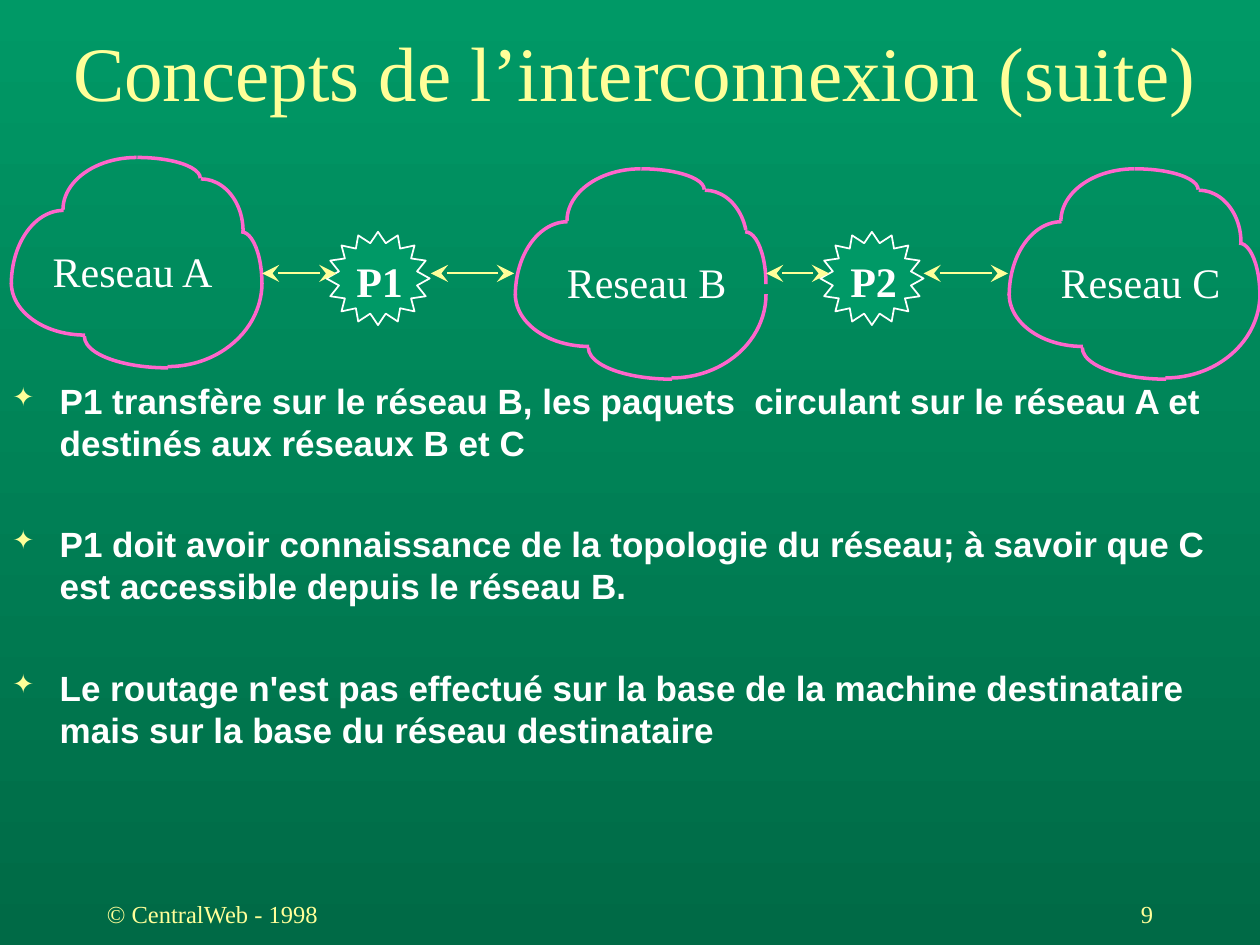
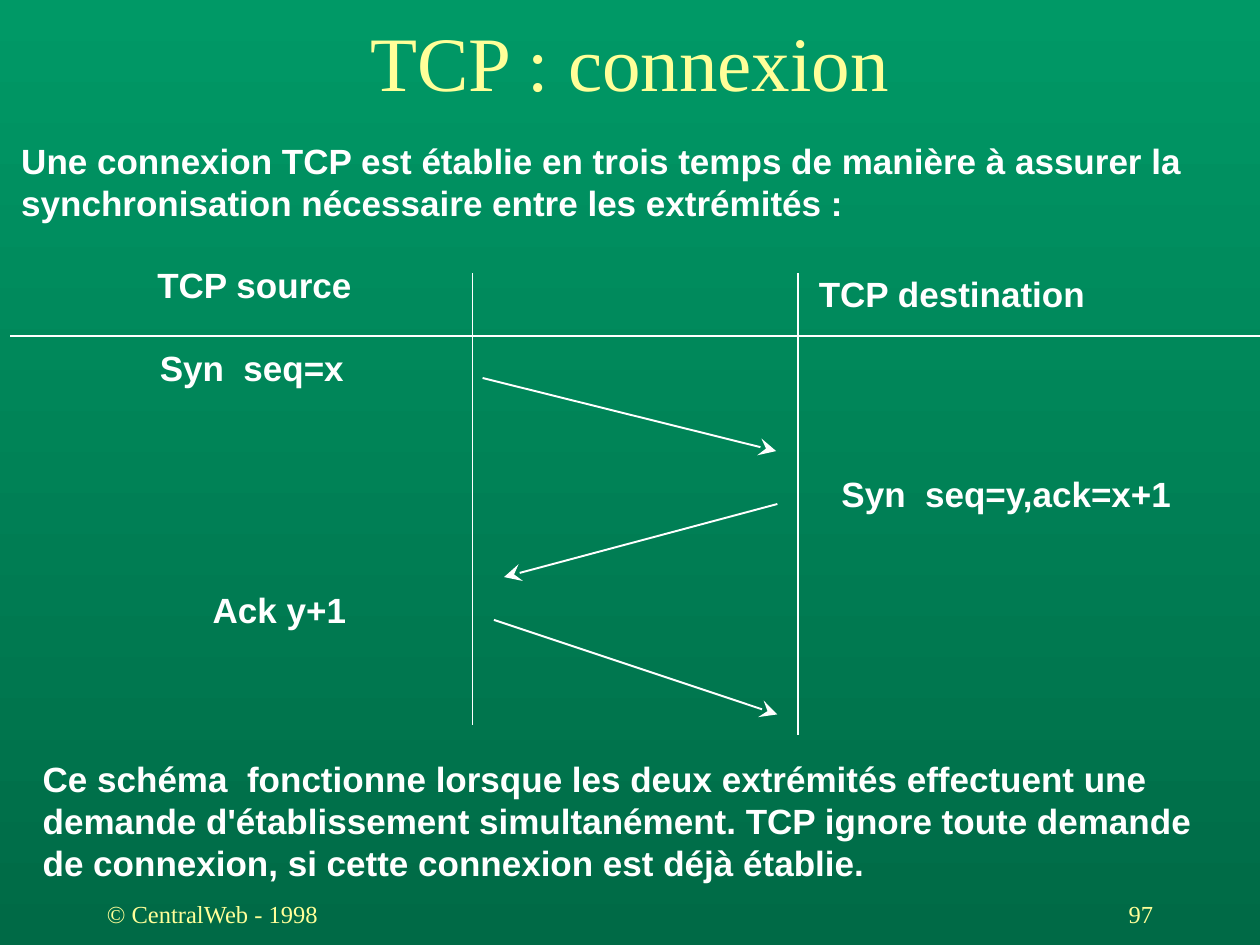
"""Build two course slides on network interconnection and TCP connections."""
from lxml import etree
from pptx import Presentation
from pptx.dml.color import RGBColor
from pptx.enum.shapes import MSO_CONNECTOR, MSO_SHAPE
from pptx.enum.text import MSO_ANCHOR, MSO_AUTO_SIZE, PP_ALIGN
from pptx.oxml.ns import qn
from pptx.util import Inches, Pt

GREEN = RGBColor(0x00, 0x99, 0x66)
DARK_GREEN = RGBColor(0x00, 0x6A, 0x46)
YELLOW = RGBColor(0xFF, 0xFF, 0x99)
PINK = RGBColor(0xFF, 0x66, 0xCC)
WHITE = RGBColor(0xFF, 0xFF, 0xFF)
SERIF = "Times New Roman"
SANS = "Arial"

STRAIGHT = MSO_CONNECTOR.STRAIGHT
ARC, STAR = MSO_SHAPE.ARC, MSO_SHAPE.STAR_16_POINT
TOP, MIDDLE = MSO_ANCHOR.TOP, MSO_ANCHOR.MIDDLE
LEFT, CENTER, RIGHT = PP_ALIGN.LEFT, PP_ALIGN.CENTER, PP_ALIGN.RIGHT
NO_FIT = MSO_AUTO_SIZE.NONE

TITLE_ONLY = 5
ADJUSTMENT_PER_DEGREE = 0.6
COPYRIGHT = "© CentralWeb - 1998"

# Each lobe: left, top, width and height of its ellipse, start and end in degrees.
CLOUD_LOBES = {
    "crown": (0.5, 0, 1, 0.33, 270, 0),
    "shoulder": (1.17, 0.17, 0.67, 0.83, 270, 0),
    "right": (1.66, 0.59, 0.33, 0.83, 270, 0),
    "top left": (0.41, 0, 1.17, 0.83, 180, 270),
    "left": (0, 0.42, 0.83, 1.17, 180, 270),
    "bottom left": (0, 0.58, 1.17, 0.83, 90, 180),
    "bottom": (0.58, 1.17, 1.33, 0.5, 90, 180),
    "bottom right": (0.49, 0.33, 1.5, 1.33, 0, 90),
}
OPEN_LOBES = {
    "shoulder": (1.17, 0.17, 0.67, 0.83, 270, 343),
    "right": (1.66, 0.5, 0.33, 0.83, 270, 0),
}

ROUTING_POINTS = [
    "P1 transfère sur le réseau B, les paquets  circulant sur le réseau A et "
    "destinés aux réseaux B et C",
    "P1 doit avoir connaissance de la topologie du réseau; à savoir que C "
    "est accessible depuis le réseau B.",
    "Le routage n'est pas effectué sur la base de la machine destinataire "
    "mais sur la base du réseau destinataire",
]
INTRODUCTION = (
    "Une connexion TCP est établie en trois temps de manière à assurer la "
    "synchronisation nécessaire entre les extrémités :"
)
CONCLUSION = (
    "Ce schéma  fonctionne lorsque les deux extrémités effectuent une demande "
    "d'établissement simultanément. TCP ignore toute demande de connexion, "
    "si cette connexion est déjà établie."
)


def place(shape, left, top, width, height):
    """Move and size a shape, in inches."""
    shape.left, shape.top = Inches(left), Inches(top)
    shape.width, shape.height = Inches(width), Inches(height)


def write(paragraph, text, size=20, font=SANS, color=WHITE, bold=False, align=LEFT):
    """Write formatted text into a paragraph."""
    paragraph.text = text
    paragraph.alignment = align
    paragraph.font.size = Pt(size)
    paragraph.font.name = font
    paragraph.font.color.rgb = color
    paragraph.font.bold = bold


def add_text(slide, text, left, top, width, height, wrap=False, anchor=TOP, **text_format):
    """Add a text box holding one formatted paragraph."""
    box = slide.shapes.add_textbox(
        Inches(left), Inches(top), Inches(width), Inches(height))
    box.text_frame.word_wrap = wrap
    box.text_frame.vertical_anchor = anchor
    write(box.text_frame.paragraphs[0], text, **text_format)
    return box


def add_outlined_shape(slide, kind, left, top, width, height, color, weight):
    """Add an unfilled, shadowless preset shape with a coloured outline."""
    shape = slide.shapes.add_shape(
        kind, Inches(left), Inches(top), Inches(width), Inches(height))
    shape.shadow.inherit = False
    shape.fill.background()
    shape.line.color.rgb = color
    shape.line.width = Pt(weight)
    return shape


def add_line(slide, start, end, color=WHITE, head=False, tail=False):
    """Draw a thin line with optional arrowheads at its start and end."""
    connector = slide.shapes.add_connector(
        STRAIGHT, *(Inches(value) for value in (*start, *end)))
    connector.line.color.rgb = color
    connector.line.width = Pt(1.1)
    properties = connector.element.spPr
    outline = properties.find(qn("a:ln"))
    for tag, wanted in (("a:headEnd", head), ("a:tailEnd", tail)):
        if wanted:
            etree.SubElement(outline, qn(tag), type="stealth", w="lg", len="lg")
    etree.SubElement(properties, qn("a:effectLst"))


def add_bullet(paragraph):
    """Give a paragraph a hanging star bullet."""
    indent = Pt(27)
    properties = paragraph._p.get_or_add_pPr()
    properties.set("marL", str(indent))
    properties.set("indent", str(-indent))
    color = etree.SubElement(properties, qn("a:buClr"))
    etree.SubElement(color, qn("a:srgbClr"), val=str(YELLOW))
    etree.SubElement(properties, qn("a:buSzPct"), val="75000")
    etree.SubElement(properties, qn("a:buChar"), char="✦")


def add_bullet_list(slide, texts, left, top, width, height):
    """Add widely spaced bold bullet points."""
    box = add_text(slide, "", left, top, width, height, wrap=True)
    frame = box.text_frame
    for index, text in enumerate(texts):
        paragraph = frame.add_paragraph() if index else frame.paragraphs[0]
        if index:
            paragraph.space_before = Pt(34)
        add_bullet(paragraph)
        write(paragraph, text, bold=True)


def add_cloud(slide, label, left, top, label_left, lobes):
    """Draw a labelled network cloud from elliptical arcs."""
    for x, y, width, height, start, end in lobes.values():
        arc = add_outlined_shape(slide, ARC, left + x, top + y, width, height, PINK, 2)
        arc.adjustments[0] = start * ADJUSTMENT_PER_DEGREE
        arc.adjustments[1] = end * ADJUSTMENT_PER_DEGREE
    add_text(slide, label, left + label_left, top + 0.65, 1.48, 0.5,
             size=24, font=SERIF)


def add_gateway(slide, label, left, top):
    """Draw a labelled gateway star."""
    star = add_outlined_shape(slide, STAR, left, top, 0.82, 0.74, WHITE, 1)
    star.adjustments[0] = 0.385
    star.fill.solid()
    star.fill.fore_color.rgb = GREEN
    add_text(slide, label, left + 0.14, top + 0.14, 0.57, 0.5,
             size=24, font=SERIF, bold=True)


def add_network_chain(slide, top):
    """Draw three clouds joined by two gateways and double arrows."""
    add_cloud(slide, "Reseau A", 0.09, top, 0.23, CLOUD_LOBES)
    add_cloud(slide, "Reseau B", 4.09, top + 0.09, 0.31, CLOUD_LOBES | OPEN_LOBES)
    add_cloud(slide, "Reseau C", 8.01, top + 0.09, 0.31, CLOUD_LOBES)
    add_gateway(slide, "P1", 2.59, top + 0.59)
    add_gateway(slide, "P2", 6.51, top + 0.59)
    arrow_y = top + 0.92
    for start, end in ((2.08, 2.67), (3.42, 4.08), (6.08, 6.58), (7.33, 8)):
        add_line(slide, (start, arrow_y), (end, arrow_y), YELLOW, head=True, tail=True)


def add_handshake(slide, left, top):
    """Draw the three-step exchange between source and destination."""
    lines = [
        (0, 0.5, 9.92, 0.5, False),
        (3.67, 0, 3.67, 3.58, False),
        (6.25, 0, 6.25, 3.66, False),
        (3.75, 0.83, 6.08, 1.41, True),
        (6.09, 1.83, 3.92, 2.41, True),
        (3.84, 2.75, 6.09, 3.5, True),
    ]
    for x1, y1, x2, y2, arrow in lines:
        add_line(slide, (left + x1, top + y1), (left + x2, top + y2), tail=arrow)
    labels = [
        ("TCP source", 1.07, -0.13, 1.75),
        ("TCP destination", 6.32, -0.06, 2.32),
        ("Syn  seq=x", 1.09, 0.53, 1.74),
        ("Syn  seq=y,ack=x+1", 6.5, 1.53, 2.92),
        ("Ack y+1", 1.51, 2.45, 1.34),
    ]
    for text, x, y, width in labels:
        add_text(slide, text, left + x, top + y, width, 0.43, bold=True)


def add_slide(presentation, title, title_box, number):
    """Add a slide with its title, copyright line and page number."""
    slide = presentation.slides.add_slide(presentation.slide_layouts[TITLE_ONLY])
    place(slide.shapes.title, *title_box)
    frame = slide.shapes.title.text_frame
    frame.auto_size = NO_FIT
    frame.word_wrap = True
    frame.vertical_anchor = MIDDLE
    write(frame.paragraphs[0], title, size=44, font=SERIF, color=YELLOW, align=CENTER)
    for text, left, align in ((COPYRIGHT, 0.75, LEFT), (str(number), 7.17, RIGHT)):
        add_text(slide, text, left, 7, 2.08, 0.5, wrap=True, anchor=MIDDLE,
                 size=14, font=SERIF, color=YELLOW, align=align)
    return slide


def set_background(master):
    """Give the master a top-to-bottom green gradient."""
    fill = master.background.fill
    fill.gradient()
    fill.gradient_angle = 270
    for stop, position, color in zip(fill.gradient_stops, (0, 1), (GREEN, DARK_GREEN)):
        stop.position = position
        stop.color.rgb = color


def build_interconnection_slide(presentation):
    """Build the slide on networks joined by gateways."""
    slide = add_slide(presentation, "Concepts de l’interconnexion (suite)",
                      (0.33, 0.22, 9.42, 0.69), 9)
    add_bullet_list(slide, ROUTING_POINTS, 0, 2.96, 9.92, 3.68)
    add_network_chain(slide, 1.25)


def build_connection_slide(presentation):
    """Build the slide on opening a TCP connection."""
    slide = add_slide(presentation, "TCP : connexion", (0, 0.14, 10, 0.69), 97)
    add_text(slide, INTRODUCTION, 0.07, 1.06, 9.85, 1.1, wrap=True, bold=True)
    add_handshake(slide, 0.08, 2.17)
    add_text(slide, CONCLUSION, 0.24, 5.96, 9.68, 1.1, wrap=True, bold=True)


def main():
    """Build and save the presentation."""
    presentation = Presentation()
    presentation.slide_width, presentation.slide_height = Inches(10), Inches(7.5)
    set_background(presentation.slide_master)
    build_interconnection_slide(presentation)
    build_connection_slide(presentation)
    presentation.save("out.pptx")


if __name__ == "__main__":
    main()
